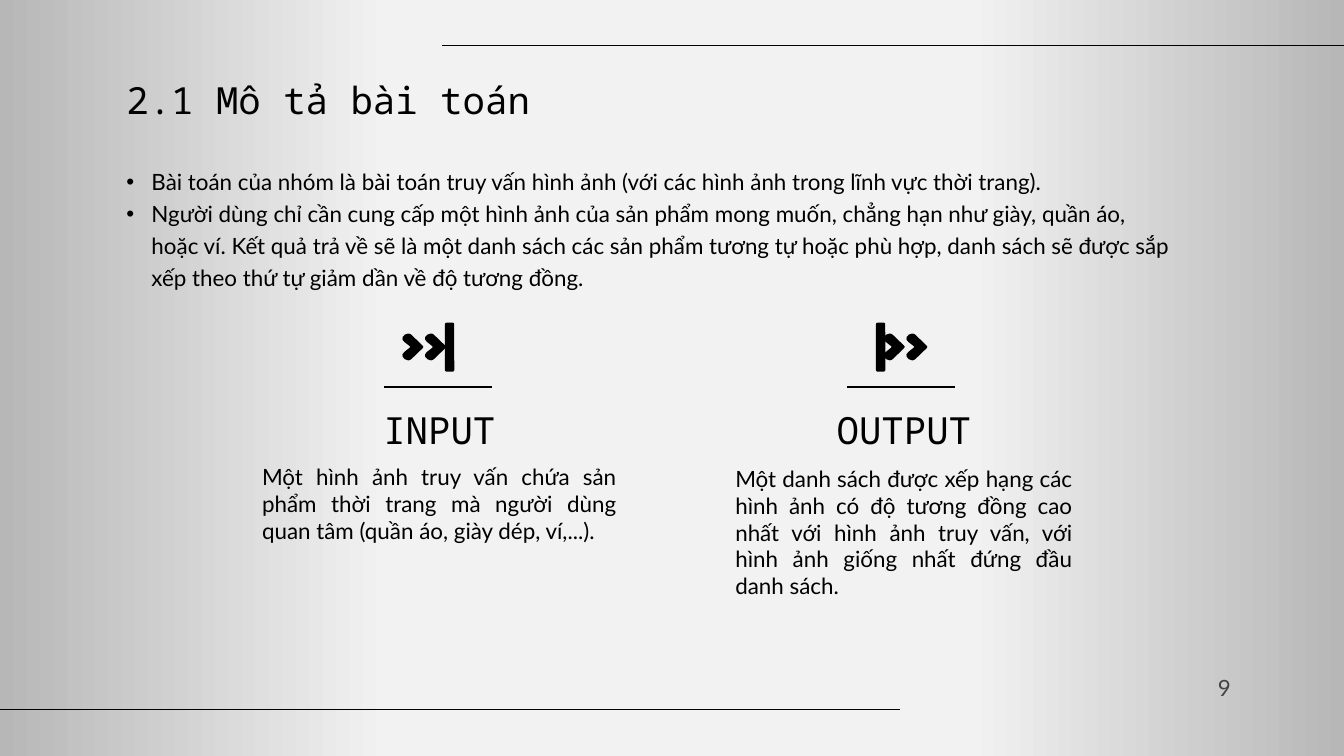
import copy
import pptx
import pptx.chart
import pptx.dml.color
import pptx.enum.shapes
import pptx.enum.text
import pptx.oxml.ns
import pptx.util
from lxml import etree

Pt = pptx.util.Pt
RGB = pptx.dml.color.RGBColor
ALIGN = pptx.enum.text.PP_ALIGN
ANCHOR = pptx.enum.text.MSO_ANCHOR
qn = pptx.oxml.ns.qn

BLACK = RGB(0x00, 0x00, 0x00)
GREY = RGB(0x43, 0x43, 0x43)
EDGE = RGB(0xB7, 0xB7, 0xB7)
CENTRE = RGB(0xF2, 0xF2, 0xF2)
BODY = "Lato"
MONO = "Noto Sans Mono"


def write(sp, box, texts, font, align, anchor, inset=2.88, bullet=False):
    sp.left, sp.top, sp.width, sp.height = [Pt(v) for v in box]
    tf = sp.text_frame
    frame = {"word_wrap": True, "auto_size": pptx.enum.text.MSO_AUTO_SIZE.NONE,
             "vertical_anchor": anchor}
    for side in ("left", "right", "top", "bottom"):
        frame["margin_" + side] = Pt(inset)
    for name, value in frame.items():
        setattr(tf, name, value)
    for i, text in enumerate(texts):
        p = tf.add_paragraph() if i else tf.paragraphs[0]
        p.alignment = align
        if bullet:
            p.line_spacing = 1.2
            pPr = p._p.get_or_add_pPr()
            pPr.set("marL", str(Pt(13.5)))
            pPr.set("indent", str(Pt(-13.5)))
            etree.SubElement(pPr, qn("a:buFont")).set("typeface", "Arial")
            etree.SubElement(pPr, qn("a:buChar")).set("char", "•")
        r = p.add_run()
        r.text = text
        for name, value in font.items():
            if name == "color":
                r.font.color.rgb = value
            else:
                setattr(r.font, name, value)


def paint(sp):
    sp.shadow.inherit = False
    sp.fill.solid()
    sp.fill.fore_color.rgb = BLACK
    sp.line.fill.background()


prs = pptx.Presentation()
prs.slide_width, prs.slide_height = Pt(720), Pt(405)
s = prs.slides.add_slide(prs.slide_layouts[5])

fill = s.background.fill
fill.gradient()
fill.gradient_angle = 0
stops = s._element.find(".//" + qn("a:gsLst"))
for stop in list(stops):
    stops.append(copy.deepcopy(stop))
for stop, (position, color) in zip(
        s.background.fill.gradient_stops,
        [(0, EDGE), (0.29, CENTRE), (0.72, CENTRE), (1, EDGE)]):
    stop.position = position
    stop.color.rgb = color

body = {"name": BODY, "size": Pt(12), "color": BLACK}
heading = {"name": MONO, "size": Pt(20), "color": BLACK}
number = {"name": BODY, "size": Pt(12), "color": GREY}

write(s.shapes.title, (64.8, 38.9, 568.8, 29.5), ["2.1 Mô tả bài toán"],
      heading, ALIGN.LEFT, ANCHOR.BOTTOM)

bullets = [
    "Bài toán của nhóm là bài toán truy vấn hình ảnh (với các hình ảnh trong lĩnh vực thời trang).",
    "Người dùng chỉ cần cung cấp một hình ảnh của sản phẩm mong muốn, chẳng hạn như giày, quần áo, "
    "hoặc ví. Kết quả trả về sẽ là một danh sách các sản phẩm tương tự hoặc phù hợp, danh sách sẽ "
    "được sắp xếp theo thứ tự giảm dần về độ tương đồng.",
]
columns = [
    ("INPUT", 137.5, 195.8, 245.5,
     "Một hình ảnh truy vấn chứa sản phẩm thời trang mà người dùng quan tâm (quần áo, giày dép, ví,...)."),
    ("OUTPUT", 391, 186.5, 246.2,
     "Một danh sách được xếp hạng các hình ảnh có độ tương đồng cao nhất với hình ảnh truy vấn, "
     "với hình ảnh giống nhất đứng đầu danh sách."),
]
texts = [((64.8, 84.2, 568.8, 78.5), bullets, body, None, ANCHOR.TOP, 2.88, True)]
for label, x, w, y, text in columns:
    texts.append(((x, 215.3, w, 29.5), [label], heading, ALIGN.CENTER, ANCHOR.BOTTOM))
    texts.append(((x, y, w, 95.8), [text], body, ALIGN.JUSTIFY, ANCHOR.TOP))
texts.append(((501, 357.8, 162, 21.6), ["9"], number, ALIGN.RIGHT, ANCHOR.MIDDLE, 3.6))
for box, *rest in texts:
    write(s.shapes.add_textbox(0, 0, 0, 0), box, *rest)

for x1, x2, y in [(236.9, 727.2, 24.4), (-7.9, 482.4, 380.2),
                  (205.9, 263.5, 207.3), (453.8, 511.7, 207.3)]:
    c = s.shapes.add_connector(pptx.enum.shapes.MSO_CONNECTOR.STRAIGHT,
                               Pt(x1), Pt(y), Pt(x2), Pt(y))
    c.line.color.rgb = BLACK
    c.line.width = Pt(0.75)
    etree.SubElement(c._element.spPr, qn("a:effectLst"))

upper = [(11.5, 7.2), (11, 6.4), (5.2, 0.8), (4.4, 0.2), (3.4, 0),
         (1.6, 0.6), (0.4, 1.9), (0.3, 3.2), (1.2, 4.4), (4.2, 6.8), (4.4, 7.2)]
chevron = upper + [(x, 14.4 - y) for x, y in reversed(upper[1:-1])]
for icon_x, bar_x in [(215.3, 238.4), (473.2, 469.3)]:
    for x in (icon_x, icon_x + 12.1):
        points = [(Pt(x + dx), Pt(178.7 + dy)) for dx, dy in chevron]
        builder = s.shapes.build_freeform(*points[0])
        builder.add_line_segments(points[1:], close=True)
        paint(builder.convert_to_shape())
    bar = s.shapes.add_shape(pptx.enum.shapes.MSO_SHAPE.ROUNDED_RECTANGLE,
                             Pt(bar_x), Pt(172.9), Pt(5), Pt(26.2))
    paint(bar)

prs.save("out.pptx")
